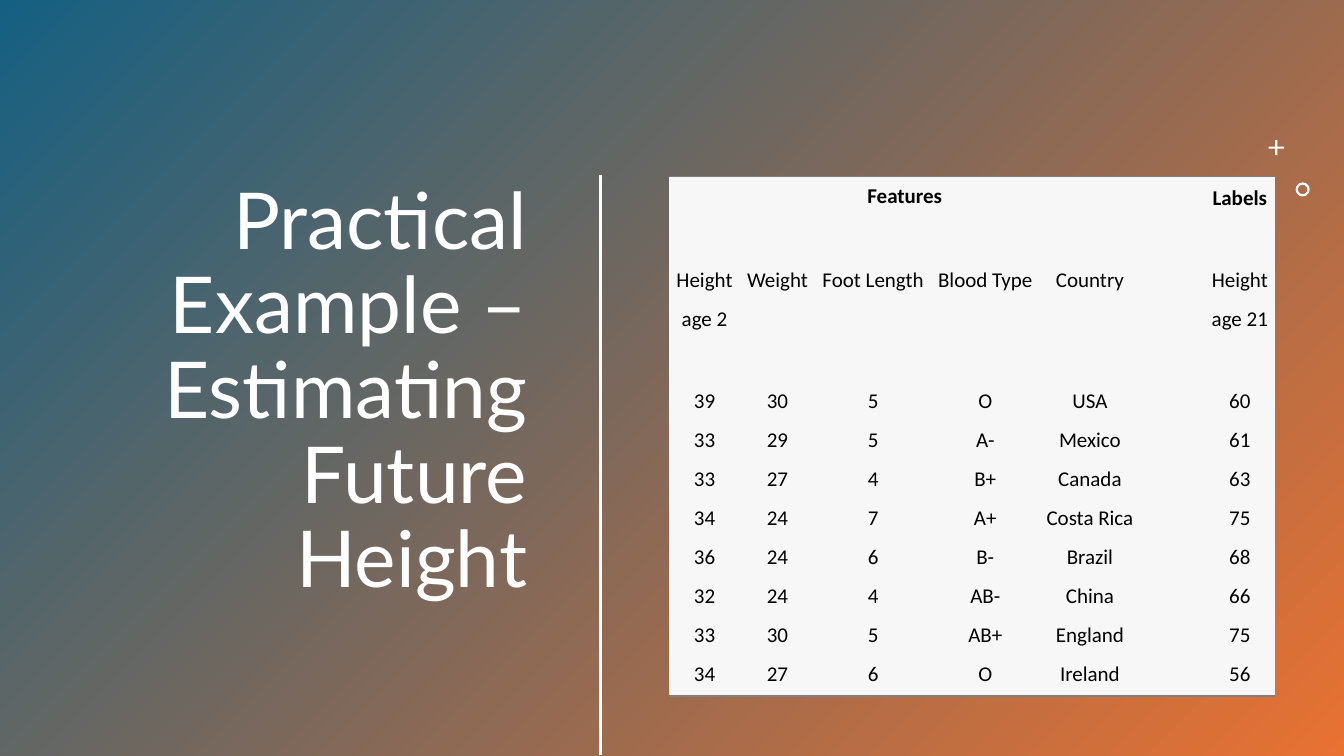
"""Build the slide on estimating future height."""
from dataclasses import dataclass
from typing import Any

from lxml.etree import SubElement as Sub
from pptx import Presentation as Deck
from pptx.dml.color import RGBColor as Rgb
from pptx.enum.shapes import MSO_CONNECTOR as Link, MSO_SHAPE as Kind
from pptx.enum.text import MSO_ANCHOR as Anchor, PP_ALIGN as Align
from pptx.oxml import parse_xml as to_xml
from pptx.oxml.ns import nsdecls, qn
from pptx.util import Emu, Inches, Pt

WIDE, HIGH = Inches(13.333), Inches(7.5)
PLAIN = "{2D5ABB26-0587-4C30-8999-92F81FD0307C}"


@dataclass(frozen=True)
class Theme:
    """Colours, fonts and type sizes."""
    start: str = "156082"
    end: str = "E97132"
    light: str = "FFFFFF"
    dark: str = "000000"
    cell: str = "F7F7F7"
    rule: str = "808080"
    head: str = "Lato"
    body: str = "Calibri"
    large: int = 56
    small: int = 15


@dataclass(frozen=True)
class Box:
    """Left, top, width and height in percent of the slide."""
    x: float
    y: float
    w: float
    h: float

    def place(self) -> tuple[Emu, Emu, Emu, Emu]:
        """Give the box in slide units."""
        return across(self.x), down(self.y), across(self.w), down(self.h)


@dataclass(frozen=True)
class Mark:
    """A small white ornament."""
    kind: Kind
    box: Box
    bend: float


THEME = Theme()
TITLE = Box(3.75, 23.33, 36.22, 52.93)
GRID = Box(49.8, 23.33, 45.08, 68.8)
MARKS = (
    Mark(Kind.CROSS, Box(94.4, 18.53, 1.13, 2), 0.43),
    Mark(Kind.DONUT, Box(96.4, 24.13, 1.05, 1.87), 0.16),
)
COLS = (0.7, 0.75, 1.15, 1.08, 1, 0.64, 0.7)
ROWS = (0.44, 0.43, 0.39, 0.39, 0.43) + (0.39,) * 8
DATA = (
    ("Features", "", "", "", "", "", "Labels"),
    ("",) * 7,
    ("Height", "Weight", "Foot Length", "Blood Type", "Country", "", "Height"),
    ("age 2", "", "", "", "", "", "age 21"),
    ("",) * 7,
    ("39", "30", "5", "O", "USA", "", "60"),
    ("33", "29", "5", "A-", "Mexico", "", "61"),
    ("33", "27", "4", "B+", "Canada", "", "63"),
    ("34", "24", "7", "A+", "Costa Rica", "", "75"),
    ("36", "24", "6", "B-", "Brazil", "", "68"),
    ("32", "24", "4", "AB-", "China", "", "66"),
    ("33", "30", "5", "AB+", "England", "", "75"),
    ("34", "27", "6", "O", "Ireland", "", "56"),
)


def across(share: float) -> Emu:
    """Turn a percentage of the slide width into a length."""
    return Emu(round(WIDE * share / 100))


def down(share: float) -> Emu:
    """Turn a percentage of the slide height into a length."""
    return Emu(round(HIGH * share / 100))


def write(frame: Any, text: str, *, font: str, size: int, tint: str,
          align: Align, bold: bool = False, lead: float | None = None) -> None:
    """Put formatted text into a frame."""
    para = frame.paragraphs[0]
    para.alignment = align
    if lead:
        para.line_spacing = lead
    run = para.add_run()
    run.text = text
    run.font.name, run.font.size, run.font.bold = font, Pt(size), bold
    run.font.color.rgb = Rgb.from_string(tint)


def shape(slide: Any, kind: Kind, box: Box) -> Any:
    """Add a shape with neither line nor shadow."""
    item = slide.shapes.add_shape(kind, *box.place())
    item.shadow.inherit = False
    item.line.fill.background()
    return item


def wash(slide: Any) -> None:
    """Cover the slide with the gradient."""
    fill = shape(slide, Kind.RECTANGLE, Box(0, 0, 100, 100)).fill
    fill.gradient()
    fill.gradient_angle = 315
    for stop, tint in zip(fill.gradient_stops, (THEME.start, THEME.end)):
        stop.color.rgb = Rgb.from_string(tint)


def title(slide: Any) -> None:
    """Add the heading and the line beside it."""
    frame = slide.shapes.add_textbox(*TITLE.place()).text_frame
    frame.word_wrap = True
    write(frame, "Practical Example – Estimating Future Height", font=THEME.head,
          size=THEME.large, tint=THEME.light, align=Align.RIGHT, lead=0.9)
    x = across(44.7)
    line = slide.shapes.add_connector(Link.STRAIGHT, x, down(23.2), x, down(99.87))
    line.line.color.rgb = Rgb.from_string(THEME.light)
    line.line.width = Pt(2)
    Sub(line._element.spPr, qn("a:effectLst"))


def mark(slide: Any, item: Mark) -> None:
    """Draw one ornament."""
    form = shape(slide, item.kind, item.box)
    form.adjustments[0] = item.bend
    form.fill.solid()
    form.fill.fore_color.rgb = Rgb.from_string(THEME.light)


def edge(cell: Any, side: str) -> None:
    """Rule one side of a cell."""
    cell._tc.get_or_add_tcPr().insert(0, to_xml(
        f'<a:ln{side} {nsdecls("a")} w="{Pt(1)}"><a:solidFill>'
        f'<a:srgbClr val="{THEME.rule}"/></a:solidFill></a:ln{side}>'))


def pad(cell: Any, left: float, top: float, low: float) -> None:
    """Set the cell margins in inches."""
    cell.margin_left = cell.margin_right = Inches(left)
    cell.margin_top, cell.margin_bottom = Inches(top), Inches(low)


def table(slide: Any) -> None:
    """Add the table of features and labels."""
    grid = slide.shapes.add_table(len(ROWS), len(COLS), *GRID.place()).table
    grid.first_row = grid.horz_banding = False
    grid._tbl.tblPr.find(qn("a:tableStyleId")).text = PLAIN
    for col, part in zip(grid.columns, COLS):
        col.width = across(GRID.w * part / sum(COLS))
    for row, part in zip(grid.rows, ROWS):
        row.height = down(GRID.h * part / sum(ROWS))
    for r, texts in enumerate(DATA):
        for c, text in enumerate(texts):
            cell = grid.cell(r, c)
            cell.fill.solid()
            cell.fill.fore_color.rgb = Rgb.from_string(THEME.cell)
            cell.vertical_anchor = Anchor.BOTTOM
            pad(cell, 0.01, 0.01, 0.09 if text else 0.01)
            if text:
                write(cell.text_frame, text, font=THEME.body, size=THEME.small,
                      tint=THEME.dark, align=Align.CENTER, bold=r == 0)
            if r == 0:
                edge(cell, "T")
            if r == len(DATA) - 1:
                edge(cell, "B")
    first = grid.cell(0, 0)
    first.merge(grid.cell(0, 4))
    first.vertical_anchor = Anchor.TOP
    pad(first, 0.13, 0.07, 0.09)


def main() -> None:
    """Build and save the deck."""
    deck = Deck()
    deck.slide_width, deck.slide_height = WIDE, HIGH
    slide = deck.slides.add_slide(deck.slide_layouts[6])
    wash(slide)
    title(slide)
    for item in MARKS:
        mark(slide, item)
    table(slide)
    deck.save("out.pptx")


if __name__ == "__main__":
    main()
